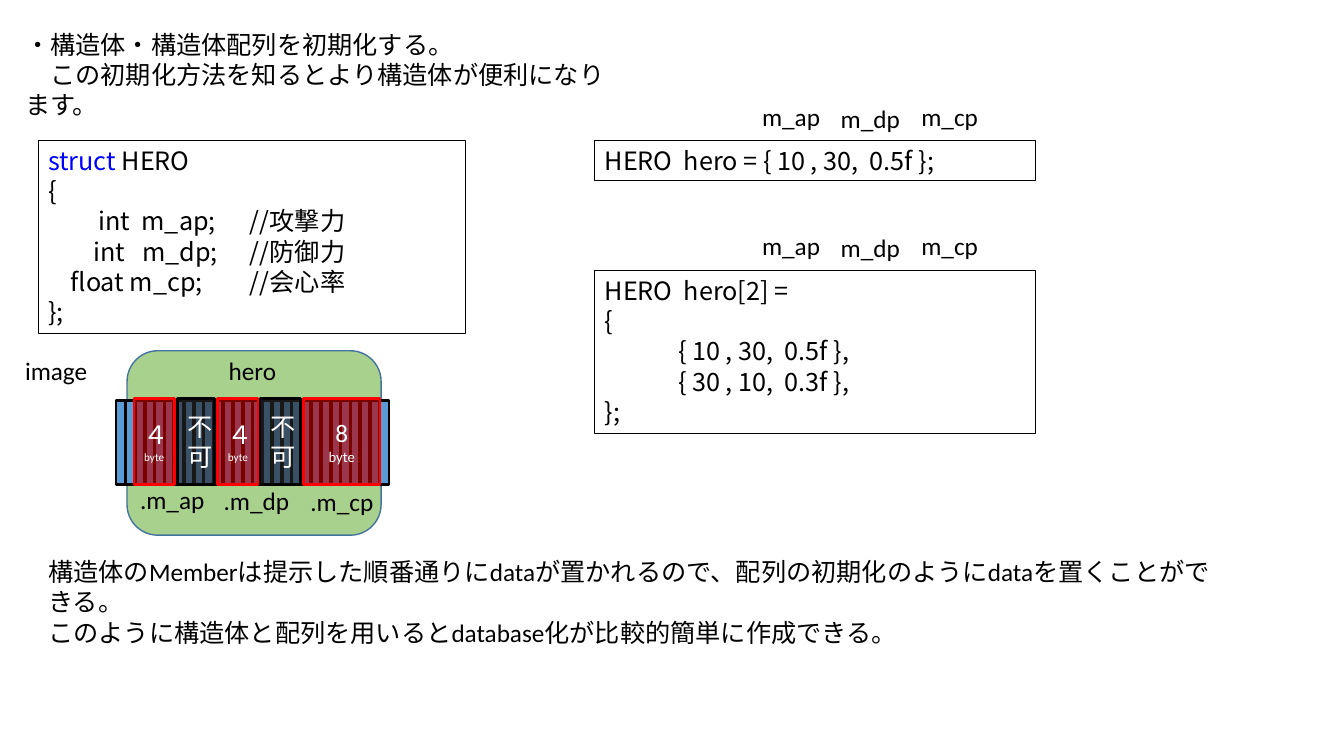
from pptx import Presentation
from pptx.dml.color import RGBColor
from pptx.enum.shapes import MSO_SHAPE
from pptx.enum.text import MSO_ANCHOR, PP_ALIGN
from pptx.oxml.ns import qn
from pptx.util import Inches, Pt
from lxml.etree import SubElement

deck = Presentation()
deck.slide_width, deck.slide_height = Inches(13.33), Inches(7.5)
slide = deck.slides.add_slide(deck.slide_layouts[6])
cell = Inches(0.1)  # side of one grid square
CJK = "Noto Sans CJK JP"


def paint(part, color):
    """Fill a shape, line or font with a hex color."""
    fill = part if hasattr(part, "solid") else part.fill
    fill.solid()
    fill.fore_color.rgb = RGBColor.from_string(color)


def put(text, x, y, w, h, shape=None, fill=None, line=None, thick=0.75,
        alpha=None, font="Calibri", color="000000", sizes=(18,), wrap=False,
        mid=False, indent=0, home=slide.shapes):
    """Place text, in a plain box or a shape, at grid squares; return its paragraphs."""
    spot = [round(n * cell) for n in (x, y, w, h)]
    if shape is None:
        box = home.add_textbox(*spot)
    else:
        box = home.add_shape(shape, *spot)
        box.shadow.inherit = False
        box.line.width = Pt(thick)
        paint(box.line, line)
        if fill:
            paint(box, fill)
        else:
            box.fill.background()
        if alpha:
            tint = box.fill._xPr.find(qn("a:solidFill"))[0]
            SubElement(tint, qn("a:alpha"), val=str(alpha * 1000))
    if not text:
        return []
    frame = box.text_frame
    frame.word_wrap = wrap
    frame.vertical_anchor = MSO_ANCHOR.MIDDLE if mid else MSO_ANCHOR.TOP
    for i, row in enumerate(text.split("\n")):
        para = frame.paragraphs[0] if i == 0 else frame.add_paragraph()
        para.alignment = PP_ALIGN.CENTER if mid else PP_ALIGN.LEFT
        if indent and i:
            para._p.get_or_add_pPr().set("indent", str(round(indent * cell)))
        # A bar splits a line into runs
        for bit in row.split("|"):
            run = para.add_run()
            run.text = bit
            run.font.name = font
            run.font.size = Pt(sizes[min(i, len(sizes) - 1)])
            paint(run.font, color)
            SubElement(run._r.get_or_add_rPr(), qn("a:ea"), typeface=CJK)
    return frame.paragraphs


# Heading
put("・構造体・構造体配列を初期化する。\nこの初期化方法を知るとより構造体が便利になります。",
    1.5, 2.4, 61, 7.1, wrap=True, indent=2.5)

# Code boxes
code = dict(shape=MSO_SHAPE.RECTANGLE, line="000000", font=CJK)
put("HERO  hero = { 10 , 30,  0.5f };", 59, 13.9, 43.7, 4, **code)
put("""HERO  hero[2] =
{
             { 10 , 30,  0.5f },
             { 30 , 10,  0.3f },
};""", 59, 26.8, 43.7, 16.2, **code)
rows = put("""struct| HERO
{
	int  m_ap;	//攻撃力
        int   m_dp;	//防御力
    float m_cp;	//会心率
};""", 3.8, 13.9, 42.4, 19.2, **code)
paint(rows[0].runs[0].font, "0000FF")

# Member names above the two initialisers
for top in (9.6, 22.4):
    for name, x, w, drop in (("m_ap", 74.6, 7.8, 0), ("m_dp", 82.4, 8, 0.2),
                             ("m_cp", 90.4, 7.7, 0)):
        put(name, x, top + drop, w, 4)

# Closing remarks
put("構造体のMemberは提示した順番通りにdataが置かれるので、配列の初期化のようにdataを置くことができる。\n"
    "このように構造体と配列を用いるとdatabase化が比較的簡単に作成できる。",
    3.8, 54.7, 117.5, 7.1, wrap=True)

# Memory strip behind the members
put("", 12.6, 34.8, 25.2, 18.3, shape=MSO_SHAPE.ROUNDED_RECTANGLE,
    fill="A9D18E", line="43739E", thick=1)
strip = slide.shapes.add_group_shape().shapes
for i in range(28):
    put("", 11.5 + 0.97 * i, 39.7, 0.9, 8.4, shape=MSO_SHAPE.RECTANGLE,
        fill="5B9BD5", line="000000", thick=2, home=strip)

# Used and unusable bytes
used, dead = ("C00000", "FF0000"), ("262626", "000000")
for text, x, w, (fill, line), small in (
        ("４\nbyte", 13.3, 4, used, 8), ("8\nbyte", 30.1, 7.6, used, 10.5),
        ("不可", 17.6, 3.7, dead, 18), ("４\nbyte", 21.6, 4, used, 8),
        ("不可", 25.8, 4, dead, 18)):
    put(text, x, 39.5, w, 8.6, shape=MSO_SHAPE.RECTANGLE, fill=fill, line=line,
        thick=2, alpha=64, color="FFFFFF", sizes=(18, small), wrap=True, mid=True)

# Labels around the memory strip
for text, x, y, w in (("image", 1.5, 34.8, 8.3), ("hero", 21.7, 34.8, 6.8),
                      (".m_ap", 12.9, 47.6, 8.5), (".m_dp", 21.2, 47.7, 8.6),
                      (".m_cp", 29.8, 47.8, 8.3)):
    put(text, x, y, w, 4)

deck.save("out.pptx")
